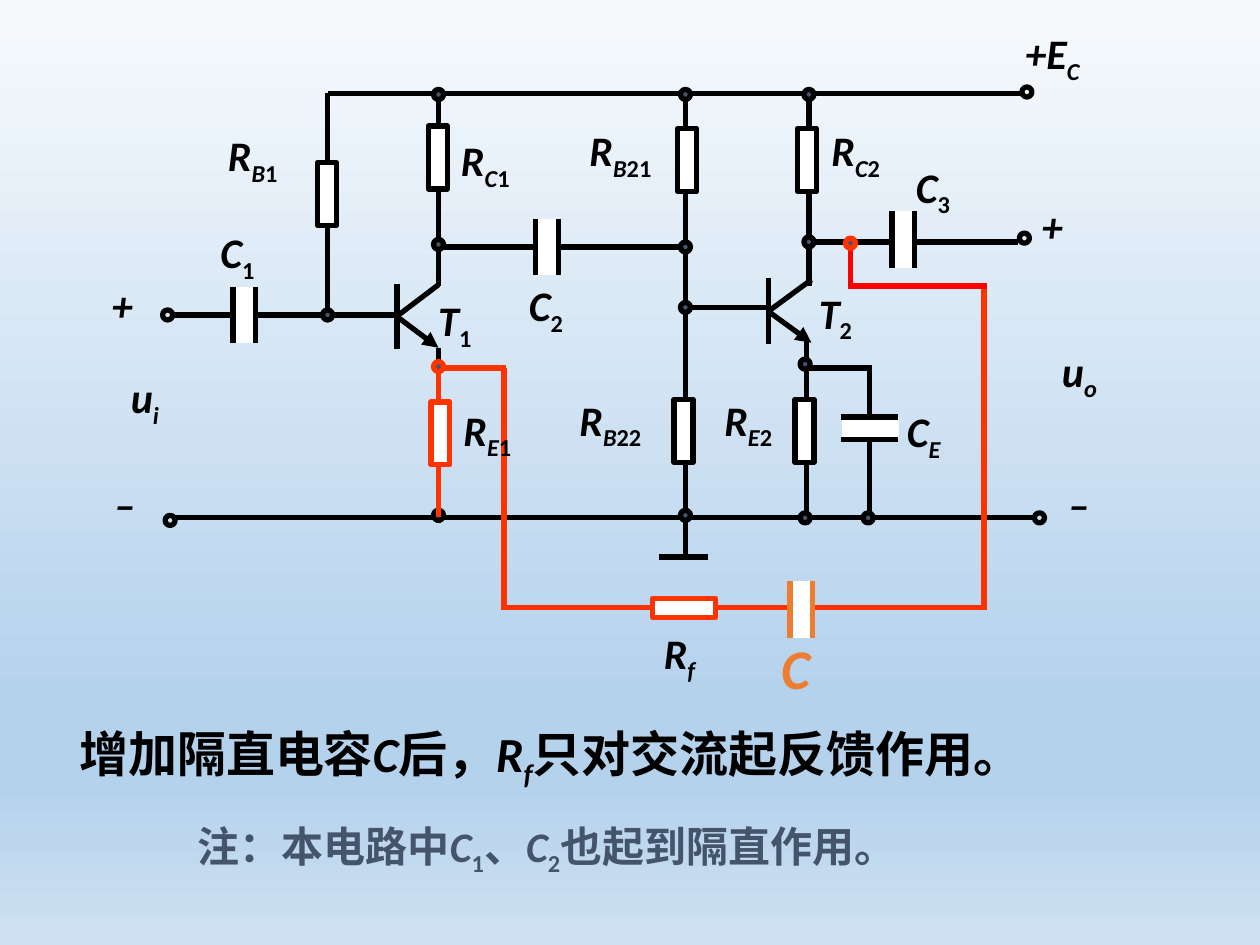
import pptx
import pptx.util
import pptx.dml.color
import pptx.enum.shapes
import pptx.enum.text
import pptx.oxml
import pptx.oxml.ns
import pptx.oxml.xmlchemy

Inches = pptx.util.Inches
SHAPE = pptx.enum.shapes.MSO_SHAPE

COLORS = {"ink": "000000", "white": "FFFFFF", "slate": "44546A",
          "feedback": "FF3300", "tap": "FF0000", "orange": "ED7D31"}
BACKGROUND = [(0, "F7FAFD"), (74, "B5D2EC"), (83, "B5D2EC"), (100, "CEE1F2")]
LATIN_FONT, CHINESE_FONT = "Calibri", "Noto Sans CJK SC"
LINE_WIDTH = 3
DOT = 0.08
RESISTOR = (0.15, 0.5)
PLATE_GAP, PLATE_LENGTH = 0.18, 0.45
FILLER = (0.15, 0.41)

# Sentences: (text, style), style holds i for italic and s for subscript
CONCLUSION = [("增加隔直电容", ""), ("C", "i"), ("后，", ""), ("R", "i"),
              ("f", "is"), ("只对交流起反馈作用。", "")]
NOTE = [("注：本电路中", ""), ("C", "i"), ("1", "s"), ("、", ""),
        ("C", "i"), ("2", "s"), ("也起到隔直作用。", "")]

# Amplifier wires: x1, y1, x2, y2
AMPLIFIER_WIRES = [
    (3.15, 2.25, 3.15, 2.77), (3.15, 2.51, 3.48, 2.26),      # T1
    (3.48, 2.76, 3.48, 4.15), (3.48, 2.27, 3.48, 0.74),
    (3.15, 2.5, 1.35, 2.5), (2.6, 2.48, 2.6, 0.74),
    (2.6, 0.74, 8.1, 0.74), (1.38, 4.11, 8.21, 4.11),        # rails
    (6.1, 2.21, 6.1, 2.73), (6.1, 2.47, 6.44, 2.22),         # T2
    (3.48, 1.96, 5.42, 1.96), (5.44, 0.75, 5.44, 4.11),
    (6.1, 2.44, 5.44, 2.44), (6.4, 2.71, 6.4, 4.11),
    (6.42, 2.27, 6.42, 0.75), (6.4, 1.92, 8.08, 1.92),
    (6.4, 2.92, 6.92, 2.92), (6.9, 2.92, 6.9, 3.31),         # CE branch
    (6.9, 3.48, 6.9, 4.11),
    (5.44, 4.1, 5.44, 4.4), (5.23, 4.42, 5.62, 4.42),        # ground
]
EMITTER_ARROWS = [(3.16, 2.52, 3.48, 2.76), (6.11, 2.48, 6.44, 2.72)]
# Dots: centre x, centre y
JUNCTIONS = [
    (3.48, 0.75), (5.44, 0.75), (6.42, 0.75), (3.48, 1.94), (5.44, 1.96),
    (6.42, 1.92), (5.44, 2.44), (2.6, 2.5), (6.39, 2.89), (3.48, 4.09),
    (5.44, 4.09), (6.39, 4.11), (6.89, 4.11)]
TERMINALS = [(1.33, 2.5), (1.35, 4.13), (8.15, 0.73), (8.13, 1.89), (8.25, 4.11)]
# Upright resistors: left, top
RESISTORS = [(5.38, 1.02), (6.33, 1.02), (3.4, 1), (2.52, 1.29),
             (5.35, 3.17), (6.31, 3.17)]
# Capacitors: centre x, centre y, plates lie flat
CAPACITORS = [(6.9, 3.4, True), (1.94, 2.5, False), (4.34, 1.96, False),
              (7.17, 1.9, False)]
# Labels: left, top, width, symbol, italic subscript, upright subscript
AMPLIFIER_LABELS = [
    (0.79, 2.17, 0.71, "+", "", ""), (0.81, 3.75, 0.71, "–", "", ""),
    (8.17, 1.54, 0.71, "+", "", ""), (8.38, 3.75, 0.71, "–", "", ""),
    (1.65, 1.75, 0.75, "C", "", "1"), (1.71, 0.98, 0.75, "R", "B", "1"),
    (3.56, 1.02, 0.75, "R", "C", "1"), (4.58, 0.94, 1.04, "R", "B", "21"),
    (4.5, 3.08, 1.04, "R", "B", "22"), (6.5, 0.94, 1.04, "R", "C", "2"),
    (5.65, 3.08, 1.04, "R", "E", "2"), (7.1, 3.17, 1.04, "C", "E", ""),
    (7.17, 1.23, 1.04, "C", "", "3"), (4.1, 2.17, 1.04, "C", "", "2"),
    (8.04, 0.17, 1.04, "+E", "C", ""), (8.33, 2.69, 1.04, "u", "o", ""),
    (0.94, 2.9, 1.04, "u", "i", ""), (3.38, 2.29, 1.04, "T", "", "1"),
    (6.4, 2.23, 1.04, "T", "", "2")]

FEEDBACK_WIRES = [
    (3.48, 2.92, 3.48, 4.1), (3.48, 2.92, 4.02, 2.92), (4, 2.92, 4, 4.82),
    (3.98, 4.82, 7.83, 4.82), (7.81, 4.82, 7.81, 2.26)]
TAP_WIRES = [(6.77, 2.27, 7.83, 2.27), (6.75, 1.94, 6.75, 2.29)]
FEEDBACK_JUNCTIONS = [(3.48, 2.91), (6.75, 1.93)]
FEEDBACK_LABELS = [(5.17, 4.93, 0.49, "R", "f", ""),
                   (3.58, 3.16, 0.96, "R", "E", "1")]

deck = pptx.Presentation()
deck.slide_width, deck.slide_height = Inches(10), Inches(7.5)
page = deck.slides.add_slide(deck.slide_layouts[5])


def rgb(name):
    return pptx.dml.color.RGBColor.from_string(COLORS[name])


def paint_background():
    fill = page.background.fill
    fill.gradient()
    fill.gradient_angle = 270
    stops = page.background._cSld.find(".//" + pptx.oxml.ns.qn("a:gsLst"))
    for stop in list(stops):
        stops.remove(stop)
    for percent, color in BACKGROUND:
        stops.append(pptx.oxml.parse_xml(
            f'<a:gs {pptx.oxml.ns.nsdecls("a")} pos="{percent * 1000}">'
            f'<a:srgbClr val="{color}"/></a:gs>'))


def add_wire(ends, color="ink", arrow=False):
    wire = page.shapes.add_connector(
        pptx.enum.shapes.MSO_CONNECTOR.STRAIGHT, *map(Inches, ends))
    wire.line.color.rgb = rgb(color)
    wire.line.width = pptx.util.Pt(LINE_WIDTH)
    if arrow:
        tail = pptx.oxml.xmlchemy.OxmlElement("a:tailEnd")
        tail.set("type", "triangle")
        wire.line._get_or_add_ln().append(tail)
    wire._element.spPr.append(pptx.oxml.xmlchemy.OxmlElement("a:effectLst"))


def add_part(kind, place, fill, line):
    part = page.shapes.add_shape(kind, *map(Inches, place))
    part.shadow.inherit = False
    if fill:
        part.fill.solid()
        part.fill.fore_color.rgb = rgb(fill)
    else:
        part.fill.background()
    part.line.color.rgb = rgb(line)
    part.line.width = pptx.util.Pt(LINE_WIDTH)


def add_dot(x, y, fill="slate", line="ink"):
    add_part(SHAPE.OVAL, (x - DOT / 2, y - DOT / 2, DOT, DOT), fill, line)


def add_capacitor(x, y, flat, color="ink"):
    width, height = FILLER[::-1] if flat else FILLER
    add_part(SHAPE.RECTANGLE, (x - width / 2 + 0.01, y - height / 2, width, height),
             "white", "white")
    half = PLATE_LENGTH / 2
    for shift in (-PLATE_GAP / 2, PLATE_GAP / 2):
        if flat:
            add_wire((x - half, y + shift, x + half, y + shift), color)
        else:
            add_wire((x + shift, y - half, x + shift, y + half), color)


def write(box, spans, size, color="ink", align="LEFT"):
    frame = box.text_frame
    frame.word_wrap = True
    frame.auto_size = pptx.enum.text.MSO_AUTO_SIZE.SHAPE_TO_FIT_TEXT
    frame.vertical_anchor = pptx.enum.text.MSO_ANCHOR.TOP
    para = frame.paragraphs[0]
    para.alignment = getattr(pptx.enum.text.PP_ALIGN, align)
    for text, style in spans:
        span = para.add_run()
        span.text = text
        span.font.size = pptx.util.Pt(size)
        span.font.name = LATIN_FONT
        span.font.bold = True
        span.font.italic = "i" in style
        span.font.color.rgb = rgb(color)
        properties = span._r.get_or_add_rPr()
        if "s" in style:
            properties.set("baseline", "-25000")
        asian = pptx.oxml.xmlchemy.OxmlElement("a:ea")
        asian.set("typeface", CHINESE_FONT)
        properties.append(asian)


def add_text(place, spans, size, color="ink", align="LEFT"):
    write(page.shapes.add_textbox(*map(Inches, place)), spans, size, color, align)


def add_labels(labels):
    for left, top, width, symbol, italic, upright in labels:
        spans = [(symbol, "i"), (italic, "is"), (upright, "s")]
        add_text((left, top, width, 0.5), [span for span in spans if span[0]], 24)


# Background and sentences
paint_background()
title = page.shapes.title
title.left, title.top, title.width, title.height = map(Inches, (0.53, 5.69, 9.12, 0.57))
write(title, CONCLUSION, 28)
add_text((0.59, 6.46, 6.62, 0.51), NOTE, 24, "slate", "RIGHT")

# Two-stage amplifier
for ends in AMPLIFIER_WIRES:
    add_wire(ends)
for ends in EMITTER_ARROWS:
    add_wire(ends, arrow=True)
for x, y in JUNCTIONS:
    add_dot(x, y)
for x, y in TERMINALS:
    add_dot(x, y, fill=None)
for corner in RESISTORS:
    add_part(SHAPE.RECTANGLE, corner + RESISTOR, "white", "ink")
for capacitor in CAPACITORS:
    add_capacitor(*capacitor)
add_labels(AMPLIFIER_LABELS)

# Feedback branch
for ends in FEEDBACK_WIRES:
    add_wire(ends, "feedback")
for ends in TAP_WIRES:
    add_wire(ends, "tap")
for x, y in FEEDBACK_JUNCTIONS:
    add_dot(x, y, line="feedback")
for place in ((3.42, 3.19) + RESISTOR, (5.18, 4.75) + RESISTOR[::-1]):
    add_part(SHAPE.RECTANGLE, place, "white", "feedback")
add_capacitor(6.36, 4.84, False, "orange")
add_labels(FEEDBACK_LABELS)
add_text((6.1, 4.98, 1.19, 0.63), [("C", "i")], 32, "orange")

deck.save("out.pptx")
